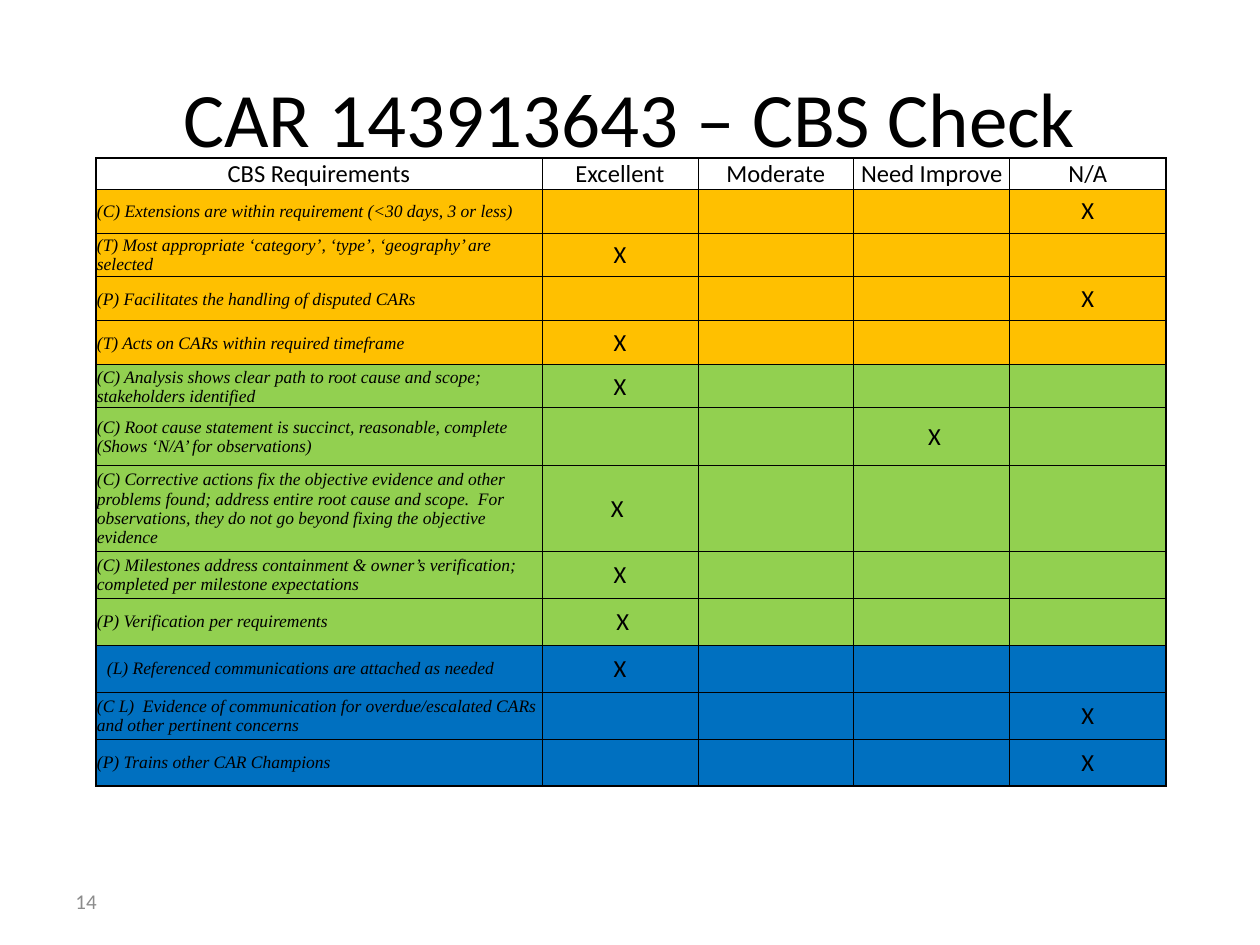
from dataclasses import dataclass

from lxml.etree import SubElement
from pptx import Presentation
from pptx.dml.color import RGBColor
from pptx.enum.text import MSO_ANCHOR as Anchor, PP_ALIGN as Align
from pptx.oxml.ns import qn
from pptx.util import Emu, Pt

PX_PER_INCH = 126
COLORS = {
    "ink": "000000",
    "muted": "8C8C8C",
    "amber": "FFC000",
    "green": "92D050",
    "blue": "0070C0",
}
HEADINGS = ["CBS Requirements", "Excellent", "Moderate", "Need Improve", "N/A"]
EXCELLENT, NEED_IMPROVE, NOT_APPLICABLE = 1, 3, 4
COLUMN_WIDTHS = [446, 156, 156, 156, 156]
HEADER_HEIGHT = 31
TABLE_LEFT, TABLE_TOP = 96, 158


@dataclass(frozen=True)
class TextStyle:
    size: float
    font: str = "Calibri"
    color: str = "ink"
    italic: bool = False
    align: Align = Align.CENTER


@dataclass(frozen=True)
class Requirement:
    text: str
    rating: int
    color: str
    height: int
    mark: str = "X"
    indent: int = 1


TITLE = TextStyle(44)
PAGE_NUMBER = TextStyle(12, color="muted", align=Align.LEFT)
TABLE_TEXT = TextStyle(14)
REQUIREMENT_TEXT = TextStyle(10, "Times New Roman", italic=True, align=Align.LEFT)

REQUIREMENTS = [
    Requirement("(C) Extensions are within requirement (<30 days, 3 or less)",
                NOT_APPLICABLE, "amber", 44),
    Requirement("(T) Most appropriate ‘category’, ‘type’, ‘geography’ are selected",
                EXCELLENT, "amber", 44),
    Requirement("(P) Facilitates the handling of disputed CARs",
                NOT_APPLICABLE, "amber", 44),
    Requirement("(T) Acts on CARs within required timeframe",
                EXCELLENT, "amber", 44),
    Requirement("(C) Analysis shows clear path to root cause and scope; "
                "stakeholders identified",
                EXCELLENT, "green", 42),
    Requirement("(C) Root cause statement is succinct, reasonable, complete "
                "(Shows ‘N/A’ for observations)",
                NEED_IMPROVE, "green", 58, mark=" X"),
    Requirement("(C) Corrective actions fix the objective evidence and other "
                "problems found; address entire root cause and scope.  For "
                "observations, they do not go beyond fixing the objective evidence",
                EXCELLENT, "green", 79, mark="X "),
    Requirement("(C) Milestones address containment & owner’s verification; "
                "completed per milestone expectations",
                EXCELLENT, "green", 47),
    Requirement("(P) Verification per requirements",
                EXCELLENT, "green", 47, mark=" X"),
    Requirement("(L) Referenced communications are attached as needed",
                EXCELLENT, "blue", 47, indent=11),
    Requirement("(C L)  Evidence of communication for overdue/escalated CARs "
                "and other pertinent concerns",
                NOT_APPLICABLE, "blue", 47),
    Requirement("(P) Trains other CAR Champions",
                NOT_APPLICABLE, "blue", 47),
]


def px(length: int) -> Emu:
    return Emu(round(length * 914400 / PX_PER_INCH))


def write(frame, text: str, style: TextStyle) -> None:
    frame.text = text
    para = frame.paragraphs[0]
    para.alignment = style.align
    for span in para.runs:
        span.font.size = Pt(style.size)
        span.font.name = style.font
        span.font.italic = style.italic
        span.font.color.rgb = RGBColor.from_string(COLORS[style.color])


def add_text(page, text: str, left: int, top: int, width: int, height: int,
             style: TextStyle) -> None:
    box = page.shapes.add_textbox(px(left), px(top), px(width), px(height))
    box.text_frame.word_wrap = True
    box.text_frame.vertical_anchor = Anchor.MIDDLE
    write(box.text_frame, text, style)


def add_borders(cell, outer_edges: dict[str, bool]) -> None:
    properties = cell._tc.get_or_add_tcPr()
    for edge, is_outer in outer_edges.items():
        line = SubElement(properties, qn(f"a:{edge}"), w=str(Pt(1 if is_outer else 0.5)))
        fill = SubElement(line, qn("a:solidFill"))
        SubElement(fill, qn("a:srgbClr"), val=COLORS["ink"])


def format_cell(cell, row: int, column: int, color: str | None, anchor: Anchor) -> None:
    cell.margin_left = cell.margin_right = cell.margin_top = px(1)
    cell.margin_bottom = 0
    cell.vertical_anchor = anchor
    add_borders(cell, {
        "lnL": column == 0,
        "lnR": column == len(HEADINGS) - 1,
        "lnT": row == 0,
        "lnB": row == len(REQUIREMENTS),
    })
    if color:
        cell.fill.solid()
        cell.fill.fore_color.rgb = RGBColor.from_string(COLORS[color])
    else:
        cell.fill.background()


def add_requirements_table(page) -> None:
    heights = [HEADER_HEIGHT] + [item.height for item in REQUIREMENTS]
    table = page.shapes.add_table(
        len(heights), len(HEADINGS), px(TABLE_LEFT), px(TABLE_TOP),
        px(sum(COLUMN_WIDTHS)), px(sum(heights))).table
    table.first_row = False
    table.horz_banding = False
    for column, width in zip(table.columns, COLUMN_WIDTHS):
        column.width = px(width)
    for row, height in zip(table.rows, heights):
        row.height = px(height)

    for column, heading in enumerate(HEADINGS):
        cell = table.cell(0, column)
        format_cell(cell, 0, column, None, Anchor.BOTTOM)
        write(cell.text_frame, heading, TABLE_TEXT)

    for row, item in enumerate(REQUIREMENTS, start=1):
        for column in range(len(HEADINGS)):
            format_cell(table.cell(row, column), row, column, item.color, Anchor.MIDDLE)
        label = table.cell(row, 0)
        label.margin_left = px(item.indent)
        write(label.text_frame, item.text, REQUIREMENT_TEXT)
        write(table.cell(row, item.rating).text_frame, item.mark, TABLE_TEXT)


def main() -> None:
    deck = Presentation()
    deck.slide_width, deck.slide_height = px(1260), px(945)
    page = deck.slides.add_slide(deck.slide_layouts[6])
    add_text(page, "CAR 143913643 – CBS Check", 63, 38, 1134, 158, TITLE)
    add_text(page, "14", 63, 876, 294, 50, PAGE_NUMBER)
    add_requirements_table(page)
    deck.save("out.pptx")


if __name__ == "__main__":
    main()
